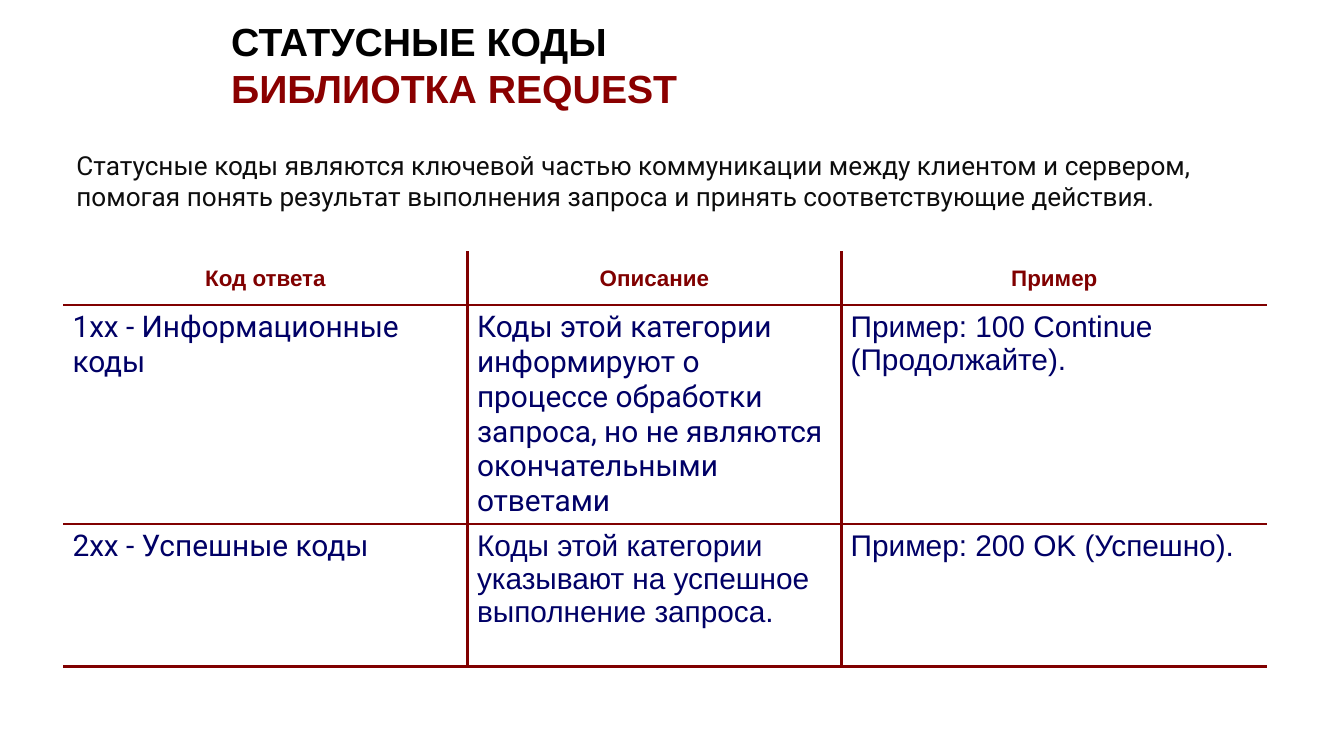
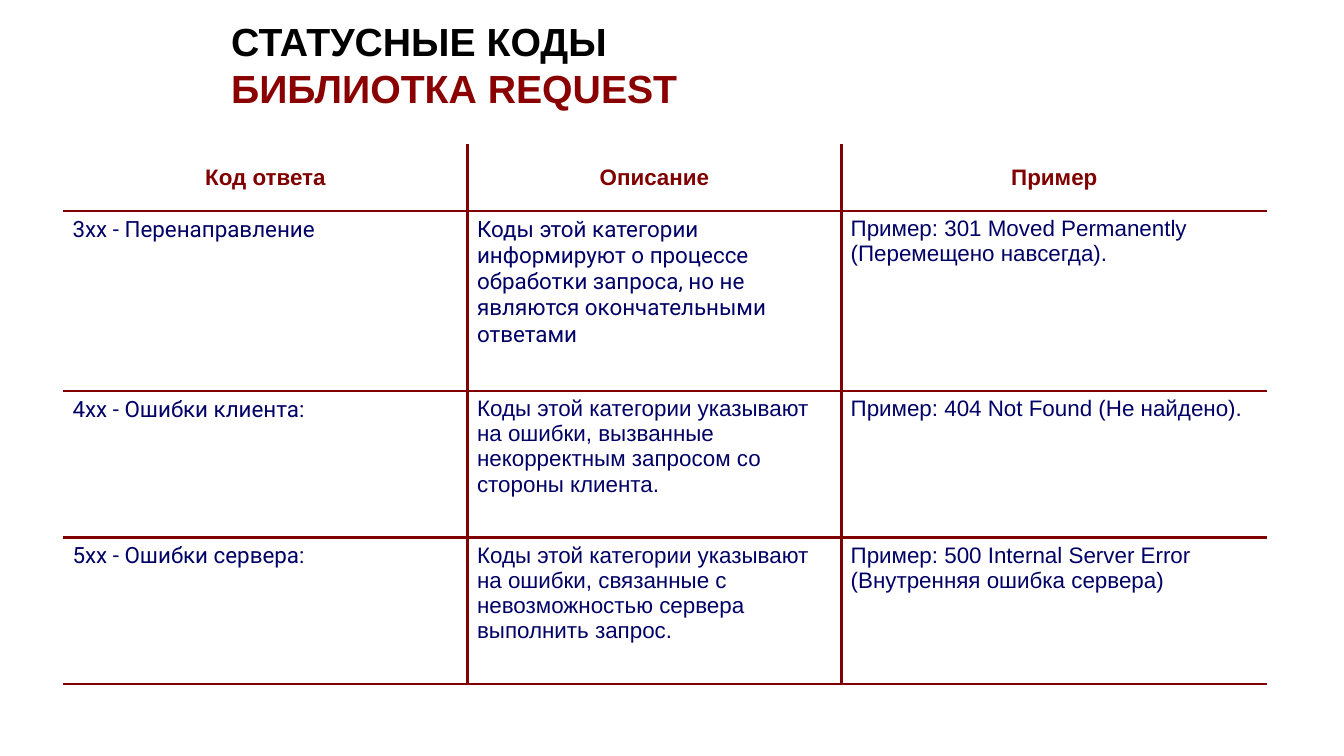
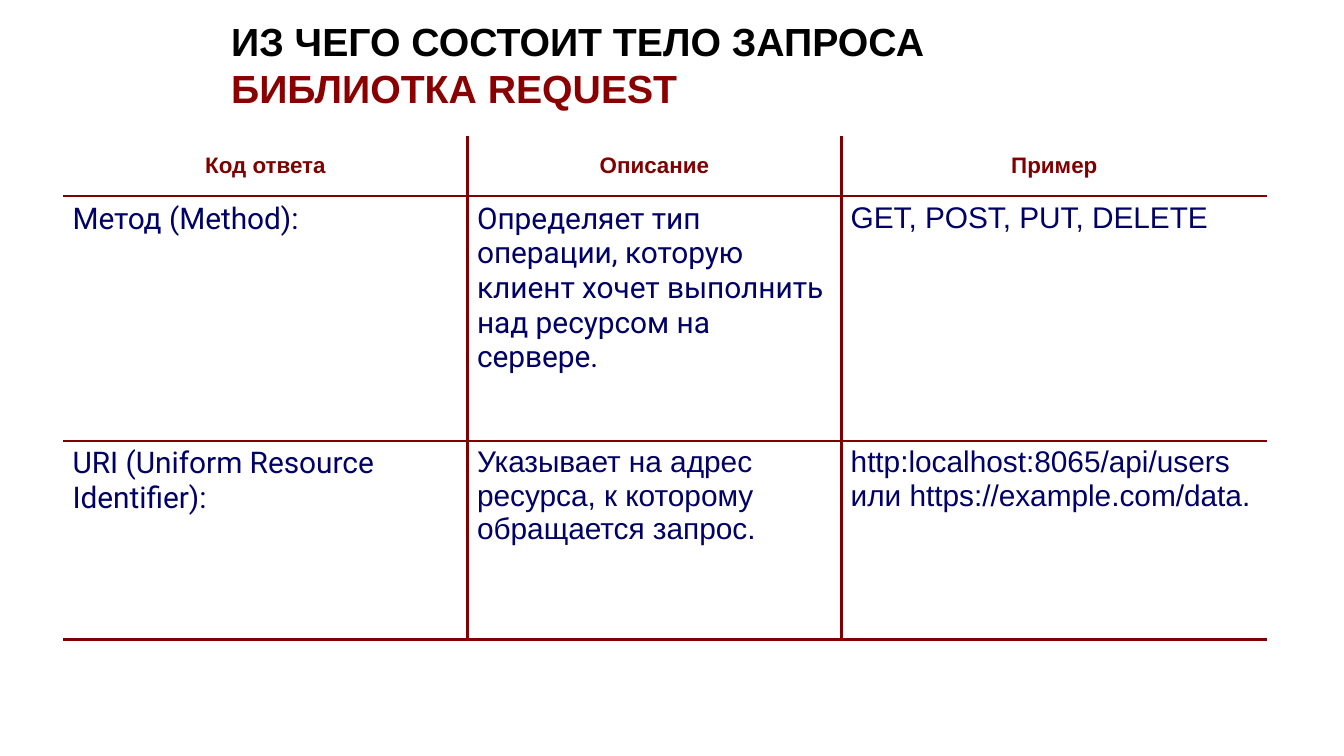
from pptx import Presentation
from pptx.dml.color import RGBColor
from pptx.enum.text import MSO_ANCHOR, MSO_AUTO_SIZE, PP_ALIGN
from pptx.oxml import parse_xml
from pptx.oxml.ns import nsdecls
from pptx.util import Inches, Pt

LEFT, CENTER = PP_ALIGN.LEFT, PP_ALIGN.CENTER
TOP, MIDDLE = MSO_ANCHOR.TOP, MSO_ANCHOR.MIDDLE
NO_FIT = MSO_AUTO_SIZE.NONE
TITLE_ONLY = 5

# Shared look
BLACK, INK, RED, MAROON, NAVY = "000000", "0D0D0D", "8A0000", "800000", "000066"
SANS, ROBOTO = "Arial", "Roboto"
MARGIN, CONTENT_W = 0.47, 8.96
COL_WIDTHS = [3.01, 2.78, 3.17]
HEADERS = ["Код ответа", "Описание", "Пример"]
SUBTITLE = "БИБЛИОТКА REQUEST"
INTRO = ("Статусные коды являются ключевой частью коммуникации между клиентом "
         "и сервером, помогая понять результат выполнения запроса и принять "
         "соответствующие действия.")
INFO_TEXT = ("Коды этой категории информируют о процессе обработки запроса, "
             "но не являются окончательными ответами")

# One entry per slide; the first row height belongs to the header
SLIDES = [
    dict(title="СТАТУСНЫЕ КОДЫ", intro=INTRO, top=1.87, size=16,
         heights=[0.4, 1.62, 1.06],
         rows=[
             ["1xx - Информационные коды", INFO_TEXT,
              "Пример: 100 Continue (Продолжайте)."],
             ["2xx - Успешные коды",
              "Коды этой категории указывают на успешное выполнение запроса.",
              "Пример: 200 OK (Успешно)."],
         ]),
    dict(title="СТАТУСНЫЕ КОДЫ", intro=None, top=1.07, size=12,
         heights=[0.5, 1.34, 1.09, 1.09],
         rows=[
             ["3xx - Перенаправление", INFO_TEXT,
              "Пример: 301 Moved Permanently (Перемещено навсегда)."],
             ["4xx - Ошибки клиента:",
              "Коды этой категории указывают на ошибки, вызванные "
              "некорректным запросом со стороны клиента.",
              "Пример: 404 Not Found (Не найдено)."],
             ["5xx - Ошибки сервера:",
              "Коды этой категории указывают на ошибки, связанные с "
              "невозможностью сервера выполнить запрос.",
              "Пример: 500 Internal Server Error (Внутренняя ошибка сервера)"],
         ]),
    dict(title="ИЗ ЧЕГО СОСТОИТ ТЕЛО ЗАПРОСА", intro=None, top=1.01, size=16,
         heights=[0.45, 1.82, 1.48],
         rows=[
             ["Метод (Method):",
              "Определяет тип операции, которую клиент хочет выполнить "
              "над ресурсом на сервере.",
              "GET, POST, PUT, DELETE"],
             ["URI (Uniform Resource Identifier):",
              "Указывает на адрес ресурса, к которому обращается запрос.",
              "http:localhost:8065/api/users или https://example.com/data."],
         ]),
]


def rgb(value):
    return RGBColor.from_string(value)


def add_run(p, text, size, color, font=SANS, bold=False):
    r = p.add_run()
    r.text = text
    r.font.size, r.font.name, r.font.bold = Pt(size), font, bold
    r.font.color.rgb = rgb(color)


def set_title(s, text):
    sp = s.shapes.title
    sp.left, sp.top, sp.width, sp.height = map(Inches, (1.62, 0.15, 7.1, 0.66))
    tf = sp.text_frame
    tf.word_wrap, tf.auto_size, tf.vertical_anchor = True, NO_FIT, MIDDLE
    p = tf.paragraphs[0]
    p.alignment = LEFT
    add_run(p, text, 21, BLACK, bold=True)
    p.add_line_break()
    add_run(p, SUBTITLE, 21, RED, bold=True)


def add_intro(s, text):
    sp = s.shapes.add_textbox(*map(Inches, (MARGIN, 1.06, CONTENT_W, 0.81)))
    tf = sp.text_frame
    tf.word_wrap = True
    add_run(tf.paragraphs[0], text, 14, INK, ROBOTO)


def set_borders(cell, sides):
    """Draw the sides named in `sides` (of L, R, T, B) and clear the others."""
    tc_pr = cell._tc.get_or_add_tcPr()
    for side in "LRTB":
        fill = (f'<a:solidFill><a:srgbClr val="{MAROON}"/></a:solidFill>'
                if side in sides else "<a:noFill/>")
        tc_pr.append(parse_xml(
            f'<a:ln{side} {nsdecls("a")} w="{Pt(1.5)}">{fill}</a:ln{side}>'))


def fill_cell(cell, text, row, col, size):
    header = row == 0
    cell.margin_left = cell.margin_right = Inches(0.07)
    cell.margin_top = cell.margin_bottom = Inches(0.04)
    cell.vertical_anchor = MIDDLE if header else TOP
    p = cell.text_frame.paragraphs[0]
    p.alignment = CENTER if header else LEFT
    if header:
        add_run(p, text, 12, MAROON, bold=True)
    else:
        roboto = col == 0 or (row == 1 and col == 1)
        add_run(p, text, size, NAVY, ROBOTO if roboto else SANS)

    # Inner rules and a closing line, open at the top and at both sides
    sides = "B" + ("" if header else "T")
    sides += "L" if col > 0 else ""
    sides += "R" if col < len(HEADERS) - 1 else ""
    set_borders(cell, sides)
    cell.fill.background()


def add_code_table(s, top, heights, rows, size):
    frame = s.shapes.add_table(len(heights), len(HEADERS), Inches(MARGIN),
                               Inches(top), Inches(CONTENT_W), Inches(sum(heights)))
    table = frame.table
    table.first_row = table.horz_banding = False
    for column, width in zip(table.columns, COL_WIDTHS):
        column.width = Inches(width)
    for table_row, height in zip(table.rows, heights):
        table_row.height = Inches(height)
    for i, texts in enumerate([HEADERS] + rows):
        for j, text in enumerate(texts):
            fill_cell(table.cell(i, j), text, i, j, size)


def main():
    prs = Presentation()
    prs.slide_width = Inches(10)
    prs.slide_height = Inches(10 * 9 / 16)  # widescreen
    for content in SLIDES:
        s = prs.slides.add_slide(prs.slide_layouts[TITLE_ONLY])
        set_title(s, content["title"])
        add_code_table(s, content["top"], content["heights"],
                       content["rows"], content["size"])
        if content["intro"]:
            add_intro(s, content["intro"])
    prs.save("out.pptx")


if __name__ == "__main__":
    main()
